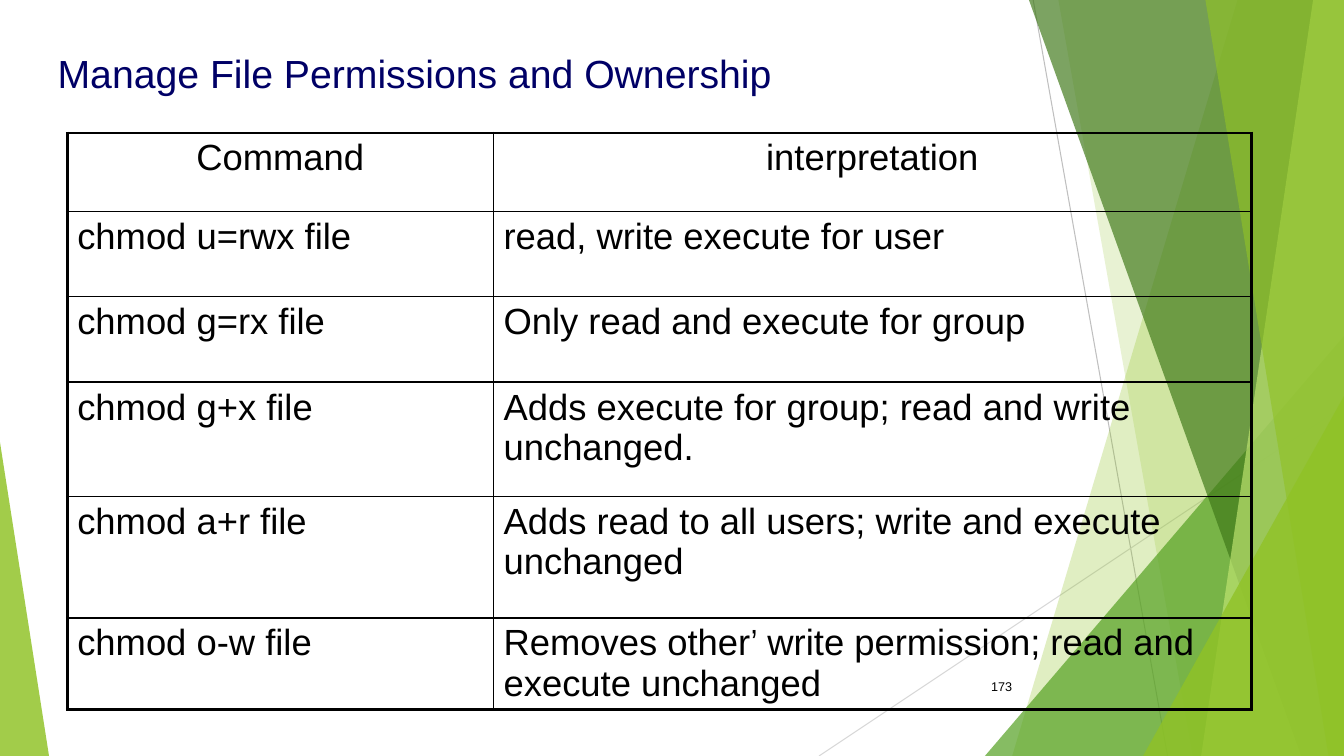
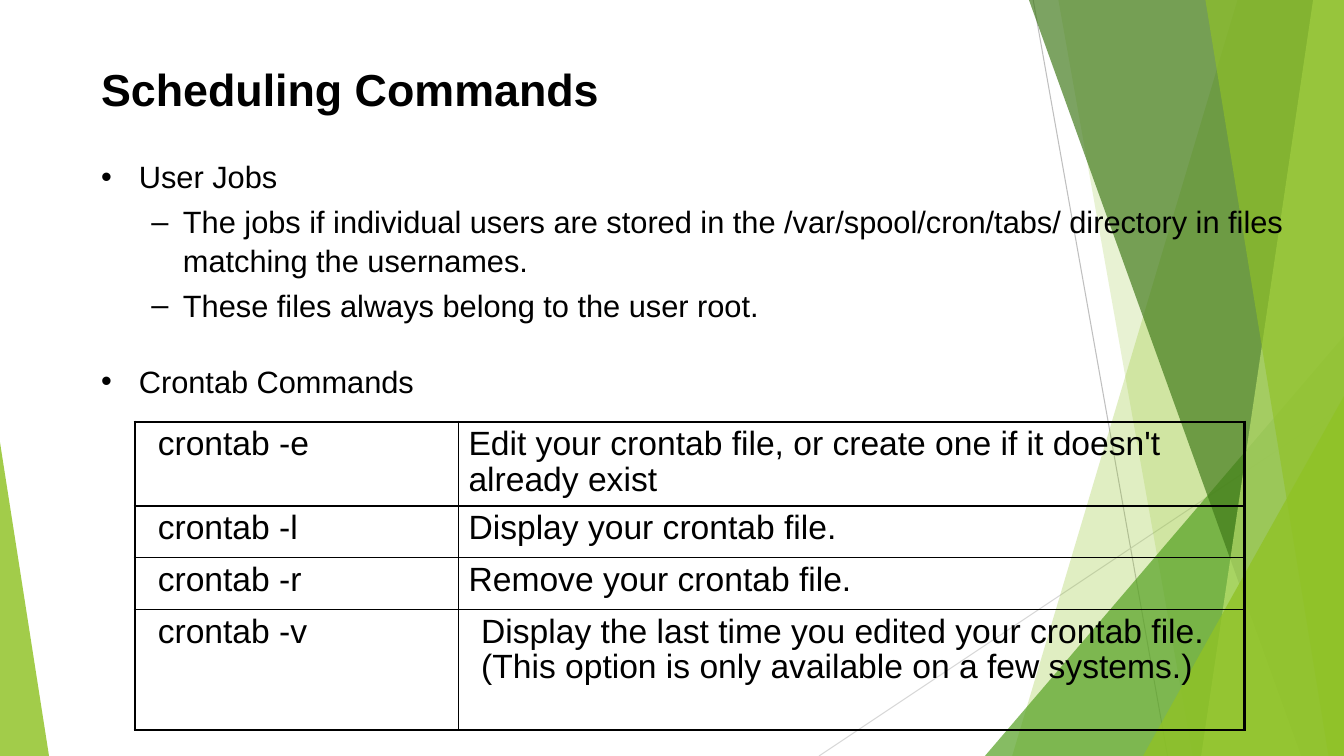
from pptx import Presentation
from pptx.dml.color import RGBColor
from pptx.enum import shapes as kinds, text as txt
from pptx.oxml import ns, xmlchemy
from pptx.util import Pt

# Colours and fonts
BLACK = RGBColor(0x00, 0x00, 0x00)
NAVY = RGBColor(0x00, 0x00, 0x66)
LIME = RGBColor(0x90, 0xC2, 0x26)
PALE_LIME = RGBColor(0xBF, 0xE4, 0x71)
GREEN = RGBColor(0x54, 0xA0, 0x21)
DARK_GREEN = RGBColor(0x3F, 0x78, 0x18)
GREY = RGBColor(0xBF, 0xBF, 0xBF)
LIGHT_GREY = RGBColor(0xD8, 0xD8, 0xD8)
FONT = "Arial"
NARROW = "Arial Narrow"

# Slide size and table rules
WIDTH, HEIGHT = 960, 540
OUTER, INNER = 2.25, 1

# Backdrop: thin lines, slanted bands (top x, bottom x) and triangles (box, apex)
LINES = [((738, 0), (834, 540), GREY), ((960, 290), (585, 540), LIGHT_GREY)]
PANELS = [
    ("band", (884, 723), LIME, 28),
    ("band", (756, 852), LIME, 20),
    ("triangle", (703.5, 240, 256.5, 300, 1), GREEN, 70),
    ("band", (735, 929.5), DARK_GREEN, 68),
    ("band", (938, 858), PALE_LIME, 68),
    ("band", (861, 949), LIME, 63),
    ("triangle", (816.5, 283, 143.5, 257, 1), LIME, 80),
    ("triangle", (0, 316, 35, 224, 0), LIME, 83),
]

# Content
PERMISSIONS = [
    ("Command", "interpretation"),
    ("chmod u=rwx file", "read, write execute for user"),
    ("chmod g=rx file", "Only read and execute for group"),
    ("chmod g+x file", "Adds execute for group; read and write unchanged."),
    ("chmod a+r file", "Adds read to all users; write and execute unchanged"),
    ("chmod o-w file", [("Removes other", FONT), ("’", NARROW),
                        (" write permission; read and execute unchanged", FONT)]),
]
JOBS = [  # level, space before, text
    (0, 0, "User Jobs"),
    (1, 4.4, "The jobs if individual users are stored in the /var/spool/cron/tabs/ "
             "directory in files matching the usernames."),
    (1, 4.4, "These files always belong to the user root."),
    (0, 26.5, "Crontab Commands"),
]
CRONTAB = [
    ("crontab -e", "Edit your crontab file, or create one if it doesn't already exist"),
    ("crontab -l", "Display your crontab file."),
    ("crontab -r", "Remove your crontab file."),
    ("crontab -v", "Display the last time you edited your crontab file. "
                   "(This option is only available on a few systems.)"),
]


def add_child(parent, tag, **attributes):
    child = xmlchemy.OxmlElement(tag)
    for name, value in attributes.items():
        child.set(name, str(value))
    parent.append(child)
    return child


def add_text(para, content, size, color=BLACK, bold=False):
    """Content is a string or a list of (text, font) pairs."""
    pieces = [(content, FONT)] if isinstance(content, str) else content
    for words, font in pieces:
        span = para.add_run()
        span.text = words
        span.font.name = font
        span.font.size = Pt(size)
        span.font.bold = bold
        span.font.color.rgb = color


def place(box, left, top, width, height):
    box.left, box.top, box.width, box.height = (
        Pt(value) for value in (left, top, width, height))
    box.text_frame.word_wrap = True
    box.text_frame.auto_size = txt.MSO_AUTO_SIZE.NONE


# Backdrop
def add_line(page, start, end, color):
    line = page.shapes.add_connector(
        kinds.MSO_CONNECTOR.STRAIGHT, *(Pt(value) for value in start + end))
    line.line.color.rgb = color
    line.line.width = Pt(0.75)
    add_child(line.element.spPr, "a:effectLst")
    return line


def add_band(page, top_x, bottom_x):
    outline = page.shapes.build_freeform(Pt(top_x), 0)
    corners = [(WIDTH, 0), (WIDTH, HEIGHT), (bottom_x, HEIGHT)]
    outline.add_line_segments([(Pt(x), Pt(y)) for x, y in corners])
    return outline.convert_to_shape()


def add_triangle(page, left, top, width, height, apex):
    triangle = page.shapes.add_shape(
        kinds.MSO_SHAPE.ISOSCELES_TRIANGLE,
        Pt(left), Pt(top), Pt(width), Pt(height))
    triangle.adjustments[0] = apex
    return triangle


def paint(shape, color, opacity):
    shape.shadow.inherit = False
    shape.line.fill.background()
    shape.fill.solid()
    shape.fill.fore_color.rgb = color
    tint = shape.element.spPr.find(".//" + ns.qn("a:srgbClr"))
    add_child(tint, "a:alpha", val=opacity * 1000)


def add_backdrop(master, page):
    """Draw the shared backdrop, then move it behind the master's placeholders."""
    makers = {"band": add_band, "triangle": add_triangle}
    parts = [add_line(page, *line) for line in LINES]
    for kind, geometry, color, opacity in PANELS:
        panel = makers[kind](page, *geometry)
        paint(panel, color, opacity)
        parts.append(panel)
    for index, part in enumerate(parts):
        part.element.xpath(".//p:cNvPr")[0].set("id", str(100 + index))
        master.shapes.element.insert(2 + index, part.element)


# Text
def set_title(page, words, frame, size, color, anchor, bold=False):
    title = page.shapes.title
    place(title, *frame)
    title.text_frame.vertical_anchor = anchor
    para = title.text_frame.paragraphs[0]
    para.alignment = txt.PP_ALIGN.LEFT
    add_text(para, words, size, color, bold)


def set_list(page, items, frame, size):
    body = page.placeholders[1]
    place(body, *frame)
    for index, (level, gap, words) in enumerate(items):
        para = (body.text_frame.add_paragraph() if index
                else body.text_frame.paragraphs[0])
        para.level = level
        para.space_before = Pt(gap)
        para.line_spacing = 1.05
        add_text(para, words, size)


def add_page_number(page, number, frame):
    box = page.shapes.add_textbox(0, 0, 0, 0)
    place(box, *frame)
    box.text_frame.vertical_anchor = txt.MSO_ANCHOR.MIDDLE
    para = box.text_frame.paragraphs[0]
    para.alignment = txt.PP_ALIGN.RIGHT
    add_text(para, number, 9)


# Tables
def set_borders(cell, widths):
    properties = cell._tc.get_or_add_tcPr()
    for side, width in zip("LRTB", widths):
        edge = add_child(properties, "a:ln" + side, w=Pt(width))
        fill = add_child(edge, "a:solidFill")
        add_child(fill, "a:srgbClr", val=BLACK)


def add_grid(page, rows, left, top, widths, heights, size,
             header=False, spacing=None, indents=None):
    """Indents maps (row, column) to a left indent."""
    table = page.shapes.add_table(
        len(rows), len(widths), Pt(left), Pt(top),
        Pt(sum(widths)), Pt(sum(heights))).table
    table.first_row = table.horz_banding = False
    for column, width in zip(table.columns, widths):
        column.width = Pt(width)
    last_row, last_column = len(rows) - 1, len(widths) - 1
    for r, (row, height) in enumerate(zip(rows, heights)):
        table.rows[r].height = Pt(height)
        for c, content in enumerate(row):
            cell = table.cell(r, c)
            edges = (c == 0, c == last_column, r == 0, r == last_row)
            set_borders(cell, [OUTER if edge else INNER for edge in edges])
            cell.fill.background()
            para = cell.text_frame.paragraphs[0]
            if header and r == 0:
                para.alignment = txt.PP_ALIGN.CENTER
            if spacing:
                para.line_spacing = spacing
            indent = (indents or {}).get((r, c))
            if indent:
                para._p.get_or_add_pPr().set("marL", str(Pt(indent)))
            add_text(para, content, size)


# Slides
def build_permissions(page):
    set_title(page, "Manage File Permissions and Ownership",
              (34, 31.5, 696, 42), 28, NAVY, txt.MSO_ANCHOR.TOP)
    add_page_number(page, "173", (676, 476, 54, 29))
    add_grid(page, PERMISSIONS, 48, 95, (304.5, 541.5),
             (56, 61, 61, 81.5, 87, 61), 26, header=True)


def build_scheduling(page):
    set_title(page, "Scheduling Commands", (65, 18, 770, 90), 32, BLACK,
              txt.MSO_ANCHOR.MIDDLE, bold=True)
    set_list(page, JOBS, (65, 108, 876, 184), 22)
    indents = {(row, 0): 9 for row in range(len(CRONTAB))}
    indents[3, 1] = 9
    add_grid(page, CRONTAB, 96.5, 301.5, (231, 561.5), (60, 37, 37, 86), 24,
             spacing=0.95, indents=indents)


def main():
    deck = Presentation()
    deck.slide_width, deck.slide_height = Pt(WIDTH), Pt(HEIGHT)
    permissions = deck.slides.add_slide(deck.slide_layouts[5])
    add_backdrop(deck.slide_master, permissions)
    build_permissions(permissions)
    build_scheduling(deck.slides.add_slide(deck.slide_layouts[1]))
    deck.save("out.pptx")


if __name__ == "__main__":
    main()
